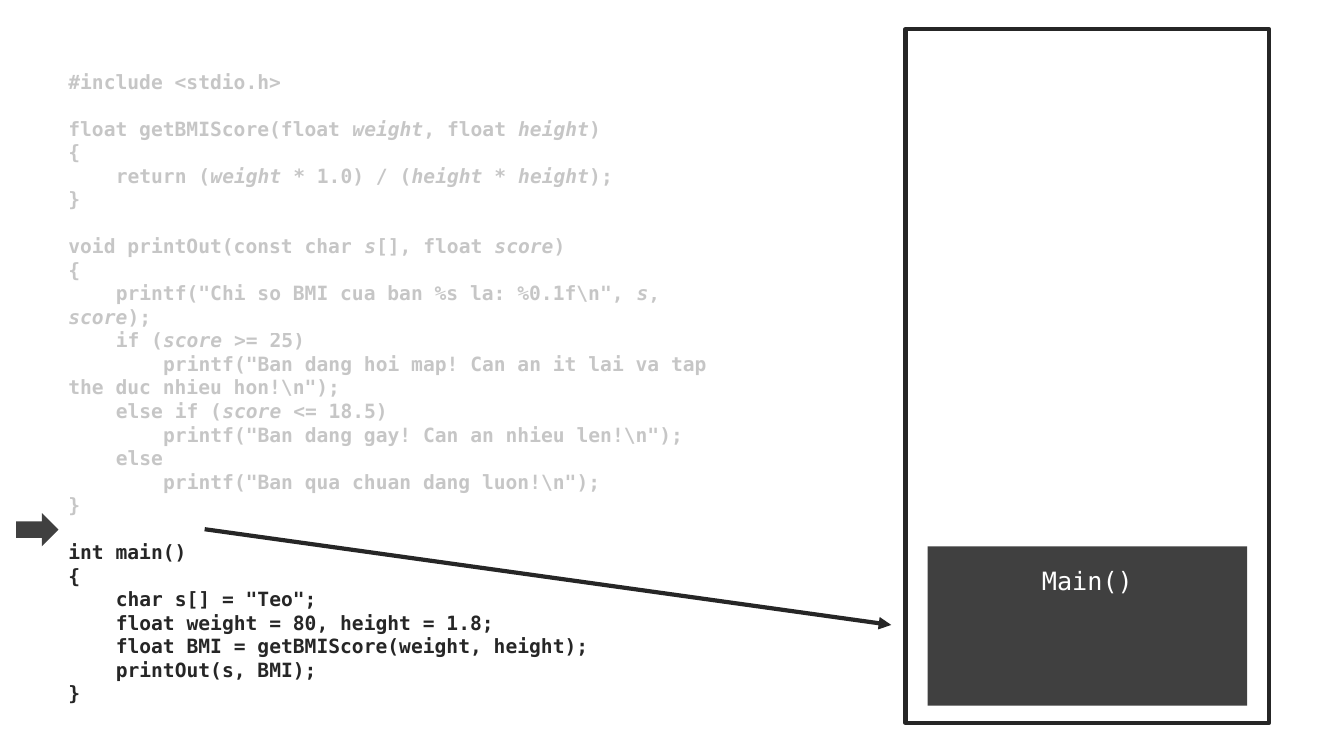
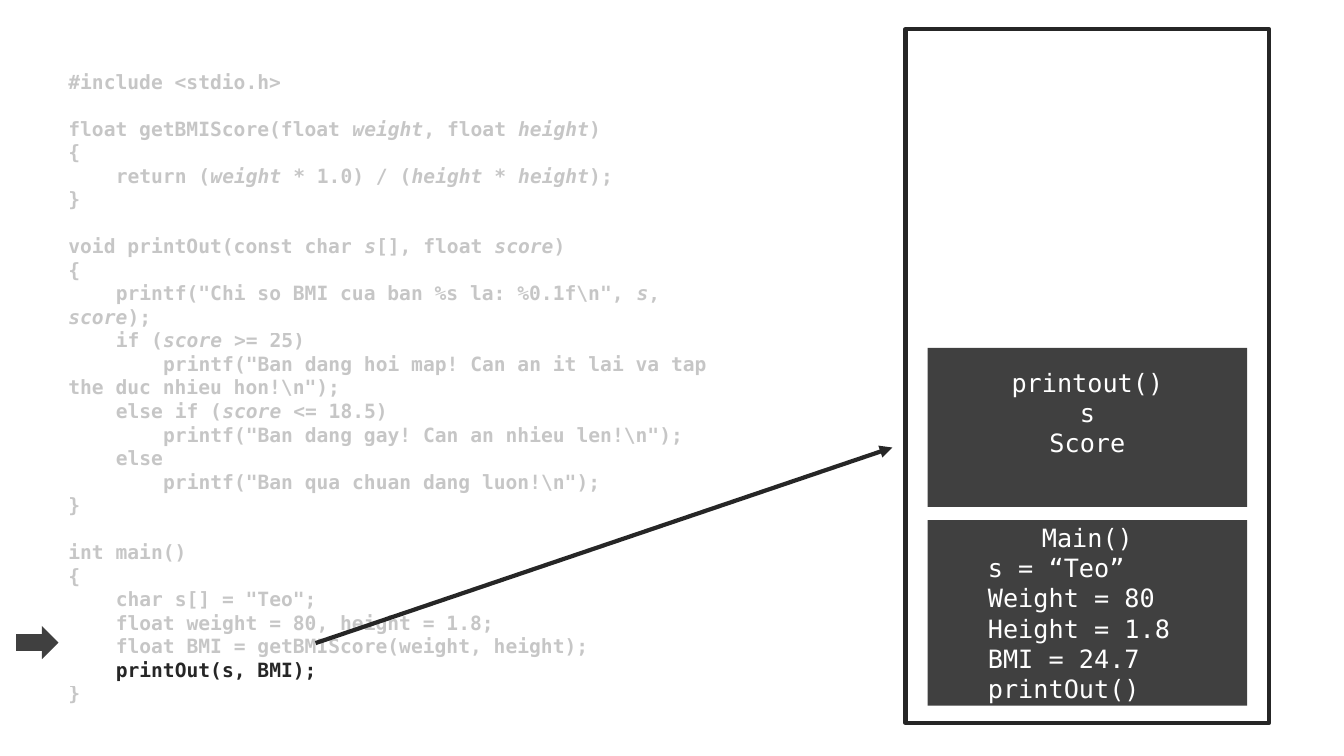
from dataclasses import dataclass

from lxml.etree import SubElement
from pptx import Presentation
from pptx.dml.color import RGBColor
from pptx.enum.shapes import MSO_CONNECTOR as Connector, MSO_SHAPE as Preset
from pptx.enum.text import MSO_ANCHOR as Anchor, MSO_AUTO_SIZE as AutoSize, PP_ALIGN as Align
from pptx.oxml.ns import qn
from pptx.shapes.autoshape import Shape
from pptx.slide import Slide
from pptx.text.text import _Paragraph as Paragraph, _Run as Run
from pptx.util import Emu, Pt

EMU_PER_PX = 9144
INK = RGBColor(0x26, 0x26, 0x26)
PANEL = RGBColor(0x40, 0x40, 0x40)
WHITE = RGBColor(0xFF, 0xFF, 0xFF)
FONT = "DejaVu Sans Mono"
CODE_SIZE = 14
FRAME_SIZE = 18
LINE_WEIGHT = Pt(3)
CODE_LINE_HEIGHT = Pt(16.8)
FRAME_LINE_HEIGHT = 30
TAB = 47
DIMMED_ALPHA = "25000"
ITALIC_MARK = "_"

LISTING = r"""#include <stdio.h>

float getBMIScore(float _weight_, float _height_)
{
    return (_weight_ * 1.0) / (_height_ * _height_);
}

void printOut(const char _s_[], float _score_)
{
    printf("Chi so BMI cua ban %s la: %0.1f\n", _s_, _score_);
    if (_score_ >= 25)
        printf("Ban dang hoi map! Can an it lai va tap the duc nhieu hon!\n");
    else if (_score_ <= 18.5)
        printf("Ban dang gay! Can an nhieu len!\n");
    else
        printf("Ban qua chuan dang luon!\n");
}

int main()
{
    char s[] = "Teo";
    float weight = 80, height = 1.8;
    float BMI = getBMIScore(weight, height);
    printOut(s, BMI);
}"""


@dataclass(frozen=True)
class Box:
    left: int
    top: int
    width: int
    height: int


@dataclass(frozen=True)
class CodeLine:
    text: str
    level: int
    after_gap: bool


@dataclass(frozen=True)
class StackFrame:
    top: int
    height: int
    line_slots: int
    centred: tuple[str, ...]
    indented: tuple[str, ...] = ()


@dataclass(frozen=True)
class Step:
    active_lines: range
    marker_top: int
    call_start: tuple[int, int]
    call_end: tuple[int, int]
    frames: tuple[StackFrame, ...]


CODE_BOX = Box(58, 64, 666, 623)
STACK_BOX = Box(898, 29, 361, 688)

STEPS = (
    Step(
        range(15, 22), 509, (203, 525), (884, 620),
        (StackFrame(542, 158, 4, ("Main()",)),),
    ),
    Step(
        range(20, 21), 621, (313, 638), (885, 444),
        (
            StackFrame(
                516, 184, 6, ("Main()",),
                ("s = “Teo”", "Weight = 80", "Height = 1.8", "BMI = 24.7", "printOut()"),
            ),
            StackFrame(345, 158, 4, ("printout()", "s", "Score")),
        ),
    ),
)


def px(length: int) -> Emu:
    return Emu(length * EMU_PER_PX)


def read_listing(source: str) -> list[CodeLine]:
    lines: list[CodeLine] = []
    after_gap = False
    for raw in source.splitlines():
        text = raw.lstrip()
        if text:
            lines.append(CodeLine(text, (len(raw) - len(text)) // 4, after_gap))
        after_gap = not text
    return lines


def add_run(paragraph: Paragraph, text: str, size: int, colour: RGBColor) -> Run:
    run = paragraph.add_run()
    run.text = text
    run.font.name = FONT
    run.font.size = Pt(size)
    run.font.color.rgb = colour
    return run


def next_paragraph(shape: Shape, index: int) -> Paragraph:
    frame = shape.text_frame
    return frame.add_paragraph() if index else frame.paragraphs[0]


def add_preset(slide: Slide, preset: Preset, box: Box) -> Shape:
    shape = slide.shapes.add_shape(
        preset, px(box.left), px(box.top), px(box.width), px(box.height)
    )
    shape.shadow.inherit = False
    shape.fill.solid()
    shape.fill.fore_color.rgb = PANEL
    shape.line.fill.background()
    return shape


def add_code(slide: Slide, active_lines: range) -> None:
    box = CODE_BOX
    shape = slide.shapes.add_textbox(
        px(box.left), px(box.top), px(box.width), px(box.height)
    )
    shape.text_frame.word_wrap = True
    shape.text_frame.auto_size = AutoSize.SHAPE_TO_FIT_TEXT
    for index, line in enumerate(read_listing(LISTING)):
        paragraph = next_paragraph(shape, index)
        properties = paragraph._p.get_or_add_pPr()
        properties.set("marL", "0")
        properties.set("indent", str(px(line.level * TAB)))
        if line.after_gap:
            paragraph.space_before = CODE_LINE_HEIGHT
        for part, text in enumerate(line.text.split(ITALIC_MARK)):
            if not text:
                continue
            run = add_run(paragraph, text, CODE_SIZE, INK)
            run.font.bold = True
            run.font.italic = part % 2 == 1
            if index not in active_lines:
                colour = run._r.find(".//" + qn("a:srgbClr"))
                SubElement(colour, qn("a:alpha"), val=DIMMED_ALPHA)


def add_stack(slide: Slide) -> None:
    shape = add_preset(slide, Preset.RECTANGLE, STACK_BOX)
    shape.fill.background()
    shape.line.color.rgb = INK
    shape.line.width = LINE_WEIGHT


def add_frame(slide: Slide, frame: StackFrame) -> None:
    shape = add_preset(slide, Preset.RECTANGLE, Box(920, frame.top, 317, frame.height))
    text_frame = shape.text_frame
    text_frame.word_wrap = True
    text_frame.vertical_anchor = Anchor.TOP
    text_frame.margin_top = px((frame.height - frame.line_slots * FRAME_LINE_HEIGHT) // 2)
    text_frame.margin_bottom = 0
    for index, text in enumerate(frame.centred + frame.indented):
        paragraph = next_paragraph(shape, index)
        if index < len(frame.centred):
            paragraph.alignment = Align.CENTER
        else:
            paragraph.alignment = Align.LEFT
            paragraph.level = 1
            paragraph._p.get_or_add_pPr().set("marL", str(px(50)))
            paragraph._p.get_or_add_pPr().set("indent", "0")
        add_run(paragraph, text, FRAME_SIZE, WHITE)


def add_call_arrow(slide: Slide, start: tuple[int, int], end: tuple[int, int]) -> None:
    connector = slide.shapes.add_connector(
        Connector.STRAIGHT, px(start[0]), px(start[1]), px(end[0]), px(end[1])
    )
    connector.line.color.rgb = INK
    connector.line.width = LINE_WEIGHT
    SubElement(connector.line._get_or_add_ln(), qn("a:tailEnd"), type="triangle")
    SubElement(connector._element.spPr, qn("a:effectLst"))


def add_step(slide: Slide, step: Step) -> None:
    add_code(slide, step.active_lines)
    add_preset(slide, Preset.RIGHT_ARROW, Box(16, step.marker_top, 42, 33))
    add_stack(slide)
    for frame in step.frames:
        add_frame(slide, frame)
    add_call_arrow(slide, step.call_start, step.call_end)


def main() -> None:
    presentation = Presentation()
    presentation.slide_width = px(1333)
    presentation.slide_height = px(750)
    blank_layout = presentation.slide_layouts[6]
    for step in STEPS:
        add_step(presentation.slides.add_slide(blank_layout), step)
    presentation.save("out.pptx")


if __name__ == "__main__":
    main()
